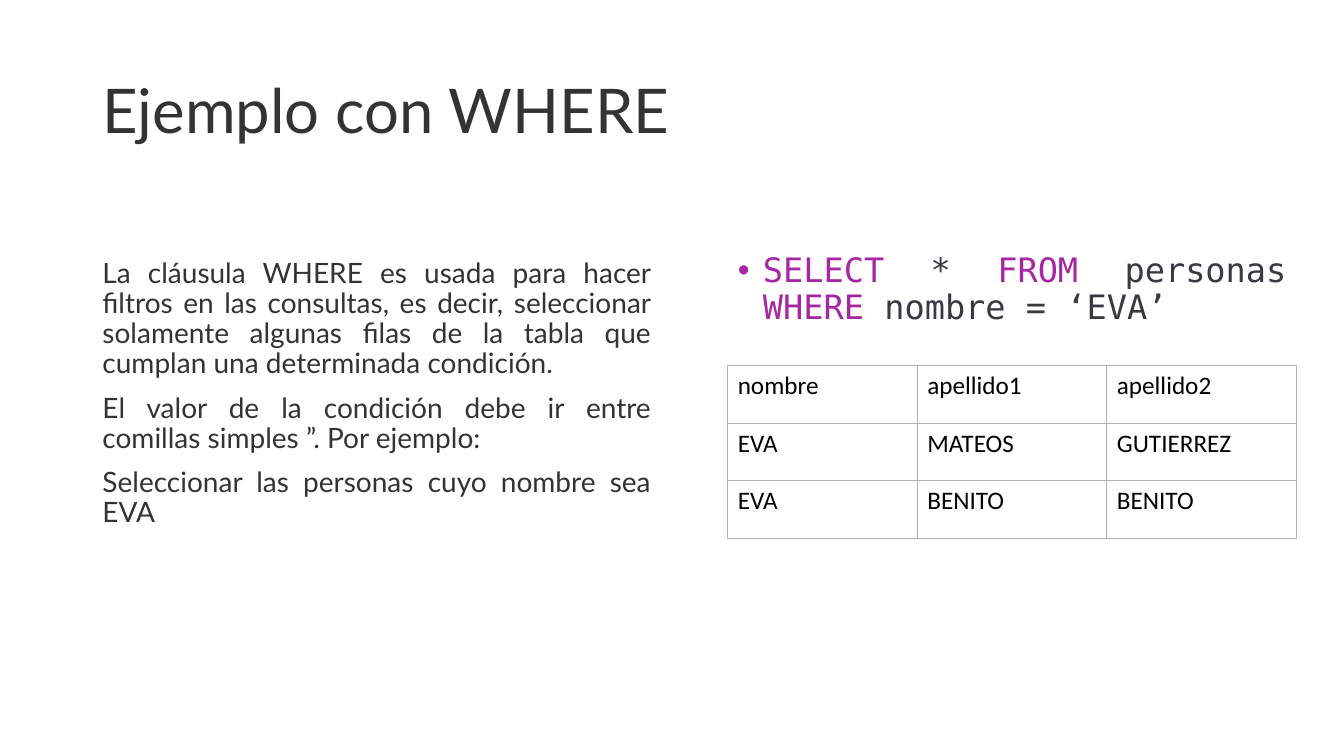
"""Builds the slide that explains the SQL WHERE clause with a query and its result."""
from lxml import etree
from pptx import Presentation
from pptx.dml.color import RGBColor
from pptx.enum.text import MSO_ANCHOR, MSO_AUTO_SIZE, PP_ALIGN
from pptx.oxml.ns import qn
from pptx.util import Pt

LEFT, JUSTIFY = PP_ALIGN.LEFT, PP_ALIGN.JUSTIFY
TOP, MIDDLE = MSO_ANCHOR.TOP, MSO_ANCHOR.MIDDLE
NO_AUTOFIT = MSO_AUTO_SIZE.NONE
DARK, KEYWORD, CODE, GRID = "333333", "A626A4", "383A42", "B2B2B2"
MARGIN, RESULT_LEFT, COLUMN_WIDTH = 66, 519.8, 406.3


def style_run(run, font, size, color):
    run.font.name = font
    run.font.size = Pt(size)
    run.font.color.rgb = RGBColor.from_string(color)


def place(holder, left, top, width, height, anchor):
    holder.left, holder.top = Pt(left), Pt(top)
    holder.width, holder.height = Pt(width), Pt(height)
    holder.text_frame.auto_size = NO_AUTOFIT
    holder.text_frame.vertical_anchor = anchor


deck = Presentation()
deck.slide_width, deck.slide_height = Pt(960), Pt(540)
slide = deck.slides.add_slide(deck.slide_layouts[3])
title, explanation, query = list(slide.placeholders)[:3]
for unused in list(slide.placeholders)[3:]:
    unused.element.getparent().remove(unused.element)

place(title, MARGIN, 28.8, 431, 104.4, MIDDLE)
title.text_frame.text = "Ejemplo con WHERE"
heading = title.text_frame.paragraphs[0]
heading.alignment, heading.line_spacing = LEFT, 0.9
style_run(heading.runs[0], "Lato", 44, DARK)

place(explanation, MARGIN, 181.4, COLUMN_WIDTH, 225.4, TOP)
explanation.text_frame.text = "\n".join([
    "La cláusula WHERE es usada para hacer filtros en las consultas, es decir, "
    "seleccionar solamente algunas filas de la tabla que cumplan una determinada condición.",
    "El valor de la condición debe ir entre comillas simples ”. Por ejemplo:",
    "Seleccionar las personas cuyo nombre sea EVA",
])
for paragraph in explanation.text_frame.paragraphs:
    style_run(paragraph.runs[0], "Lato", 20, DARK)

place(query, RESULT_LEFT, 177.8, COLUMN_WIDTH, 65.5, TOP)
statement = query.text_frame.paragraphs[0]
for words, color in [("SELECT", KEYWORD), (" * ", CODE), ("FROM", KEYWORD),
                     (" personas ", CODE), ("WHERE ", KEYWORD), ("nombre = ‘EVA’", CODE)]:
    token = statement.add_run()
    token.text = words
    style_run(token, "DejaVu Sans Mono", 24, color)

for holder, indent, bullet in [(explanation, 0, None), (query, 18, "•")]:
    for paragraph in holder.text_frame.paragraphs:
        paragraph.alignment, paragraph.line_spacing = JUSTIFY, 0.9
        paragraph.space_before = Pt(10)
        properties = paragraph._p.get_or_add_pPr()
        properties.set("marL", str(Pt(indent)))
        properties.set("indent", str(Pt(-indent)))
        if bullet:
            etree.SubElement(properties, qn("a:buFont"), typeface="Arial")
            etree.SubElement(properties, qn("a:buChar"), char=bullet)
        else:
            etree.SubElement(properties, qn("a:buNone"))

people = [
    ("nombre", "apellido1", "apellido2"),
    ("EVA", "MATEOS", "GUTIERREZ"),
    ("EVA", "BENITO", "BENITO"),
]
result = slide.shapes.add_table(len(people), len(people[0]), Pt(RESULT_LEFT), Pt(261.2),
                                Pt(COLUMN_WIDTH), Pt(123.3)).table
result.first_row = result.horz_banding = False
for row, person in enumerate(people):
    for column, value in enumerate(person):
        cell = result.cell(row, column)
        cell.text = value
        style_run(cell.text_frame.paragraphs[0].runs[0], "Calibri", 18, "000000")
        borders = cell._tc.get_or_add_tcPr()
        for side in ("a:lnL", "a:lnR", "a:lnT", "a:lnB"):
            line = etree.SubElement(borders, qn(side), w=str(Pt(0.75)))
            fill = etree.SubElement(line, qn("a:solidFill"))
            etree.SubElement(fill, qn("a:srgbClr"), val=GRID)
        cell.fill.solid()
        cell.fill.fore_color.rgb = RGBColor.from_string("FFFFFF")

deck.save("out.pptx")
